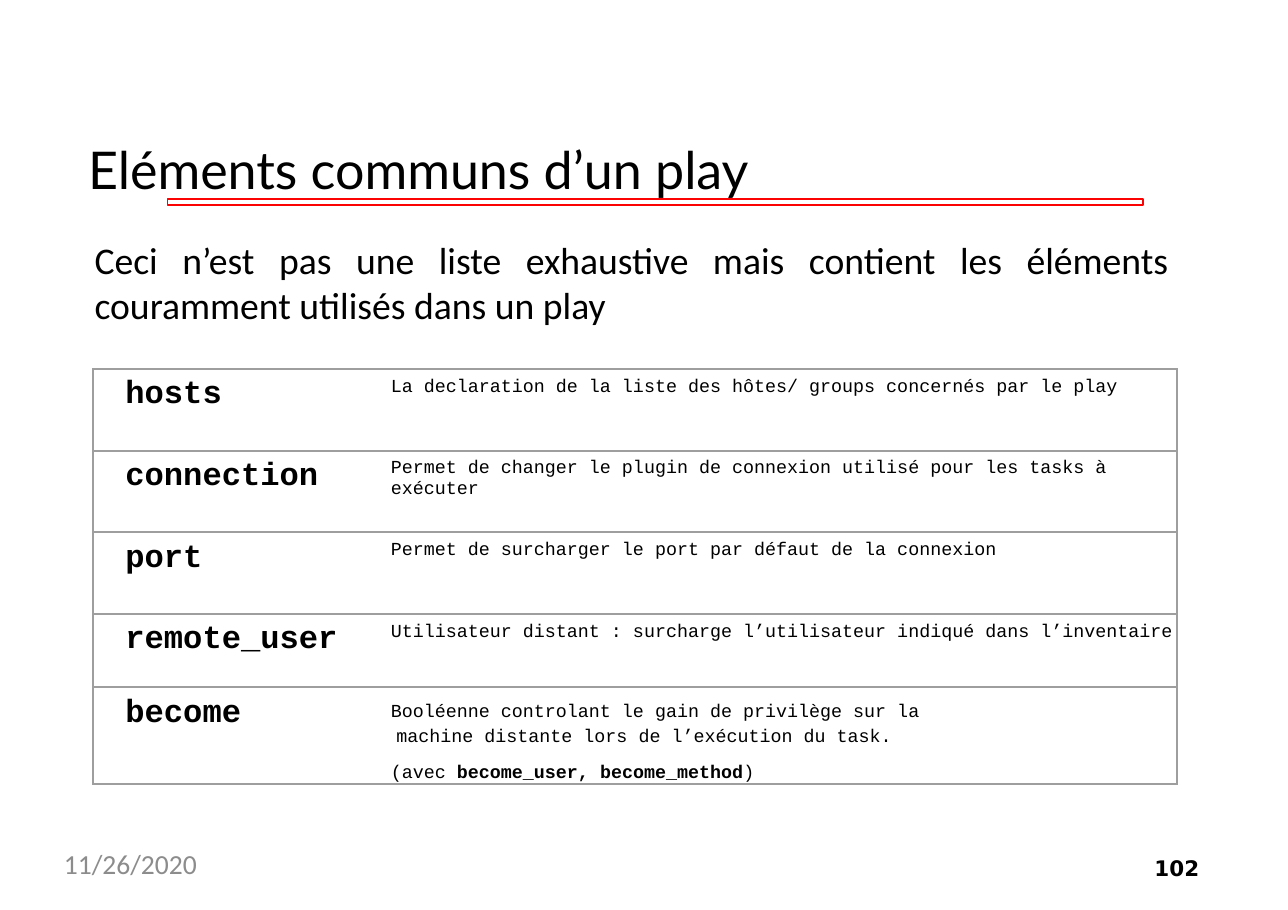
from lxml.etree import SubElement
from pptx import Presentation
from pptx.dml.color import RGBColor
from pptx.enum.shapes import MSO_SHAPE
from pptx.enum.text import MSO_ANCHOR, MSO_AUTO_SIZE, PP_ALIGN
from pptx.oxml.ns import qn
from pptx.util import Pt

BLACK, GREY, RED, BORDER = "000000", "8C8C8C", "FB0203", "9E9E9E"
MONO = "Courier New"

# Each play keyword with its description: paragraphs made of (text, bold) runs
KEYWORDS = [
    ("hosts", [[("La declaration de la liste des hôtes/ groups concernés par le play", False)]]),
    ("connection", [[("Permet de changer le plugin de connexion utilisé pour les tasks à exécuter", False)]]),
    ("port", [[("Permet de surcharger le port par défaut de la connexion", False)]]),
    ("remote_user", [[("Utilisateur distant : surcharge l’utilisateur indiqué dans l’inventaire", False)]]),
    ("become", [
        [("Booléenne controlant le gain de privilège sur la machine distante "
          "lors de l’exécution du task.", False)],
        [("(avec ", False), ("become_user, become_method", True), (")", False)],
    ]),
]
ROW_HEIGHTS = [53.3, 53.3, 53.3, 48.2, 57]
COLUMN_WIDTHS = [175, 533.5]


def color(hex_value):
    return RGBColor.from_string(hex_value)


def write(paragraph, text, font="Calibri", size=12, fill=BLACK, bold=False, align=PP_ALIGN.LEFT):
    paragraph.alignment = align
    run = paragraph.add_run()
    run.text = text
    run.font.name, run.font.size, run.font.bold = font, Pt(size), bold
    run.font.color.rgb = color(fill)


def set_margins(holder, left=0, top=0, right=0, bottom=0):
    holder.margin_left, holder.margin_top = Pt(left), Pt(top)
    holder.margin_right, holder.margin_bottom = Pt(right), Pt(bottom)


def add_label(slide, text, left, top, width, height, margins=(0, 0, 0, 0), **style):
    frame = slide.shapes.add_textbox(Pt(left), Pt(top), Pt(width), Pt(height)).text_frame
    frame.word_wrap = True
    set_margins(frame, *margins)
    write(frame.paragraphs[0], text, **style)


def add_title(slide, text):
    title = slide.shapes.title
    title.left, title.top, title.width, title.height = Pt(56.9), Pt(78.5), Pt(613.4), Pt(52.6)
    frame = title.text_frame
    frame.auto_size = MSO_AUTO_SIZE.NONE
    frame.vertical_anchor = MSO_ANCHOR.MIDDLE
    set_margins(frame, left=0.7, top=11.5)
    write(frame.paragraphs[0], text, font="Lato", size=34)


def add_title_rule(slide):
    rule = slide.shapes.add_shape(MSO_SHAPE.RECTANGLE, Pt(109.3), Pt(130.1), Pt(637.6), Pt(4))
    rule.shadow.inherit = False
    rule.fill.background()
    rule.line.color.rgb = color(RED)
    rule.line.width = Pt(1)
    # The rule lies behind the title
    slide.shapes.title.element.addprevious(rule.element)


def frame_cell(cell, open_side):
    properties = cell._tc.get_or_add_tcPr()
    for side in ("lnL", "lnR", "lnT", "lnB"):
        line = SubElement(properties, qn(f"a:{side}"), w=str(Pt(1.5)))
        if side == open_side:
            SubElement(line, qn("a:noFill"))
        else:
            solid = SubElement(line, qn("a:solidFill"))
            SubElement(solid, qn("a:srgbClr"), val=BORDER)
    cell.fill.background()


def fill_description(cell, paragraphs):
    several = len(paragraphs) > 1
    set_margins(cell, left=19.4, top=6.5 if several else 5.3, right=137 if several else 0)
    frame = cell.text_frame
    for index, runs in enumerate(paragraphs):
        paragraph = frame.add_paragraph() if index else frame.paragraphs[0]
        if several:
            paragraph.line_spacing = Pt(16.5)
            hanging = paragraph._p.get_or_add_pPr()
            hanging.set("marL", str(Pt(3.6)))
            hanging.set("indent", str(Pt(-3.6)))
        if index:
            paragraph.space_before = Pt(7)
        for text, bold in runs:
            write(paragraph, text, font=MONO, bold=bold)


def add_keyword_table(slide):
    table = slide.shapes.add_table(len(KEYWORDS), 2, Pt(61), Pt(241.2),
                                   Pt(sum(COLUMN_WIDTHS)), Pt(sum(ROW_HEIGHTS))).table
    table.first_row = table.horz_banding = False
    for column, width in zip(table.columns, COLUMN_WIDTHS):
        column.width = Pt(width)
    for row, height, (keyword, description) in zip(table.rows, ROW_HEIGHTS, KEYWORDS):
        row.height = Pt(height)
        keyword_cell, description_cell = row.cells
        frame_cell(keyword_cell, open_side="lnR")
        frame_cell(description_cell, open_side="lnL")
        set_margins(keyword_cell, left=21, top=5.3)
        write(keyword_cell.text_frame.paragraphs[0], keyword, font=MONO, size=21, bold=True)
        fill_description(description_cell, description)


def main():
    deck = Presentation()
    deck.slide_width, deck.slide_height = Pt(841.7), Pt(594.7)
    slide = deck.slides.add_slide(deck.slide_layouts[5])

    # Heading
    add_title(slide, "Eléments communs d’un play")
    add_title_rule(slide)

    # Introduction and keywords
    add_label(slide, "Ceci n’est pas une liste exhaustive mais contient les éléments "
              "couramment utilisés dans un play", 54.7, 151.2, 716.4, 67,
              margins=(7.2, 3.6, 7.2, 3.6), size=24.6, align=PP_ALIGN.JUSTIFY)
    add_keyword_table(slide)

    # Footer
    add_label(slide, "11/26/2020", 41.8, 553.7, 193.7, 29.5, size=18, fill=GREY)
    add_label(slide, "102", 752.4, 558.7, 70.6, 24.5, margins=(2, 0, 0, 0),
              font="DejaVu Sans", size=14, bold=True)

    deck.save("out.pptx")


if __name__ == "__main__":
    main()
